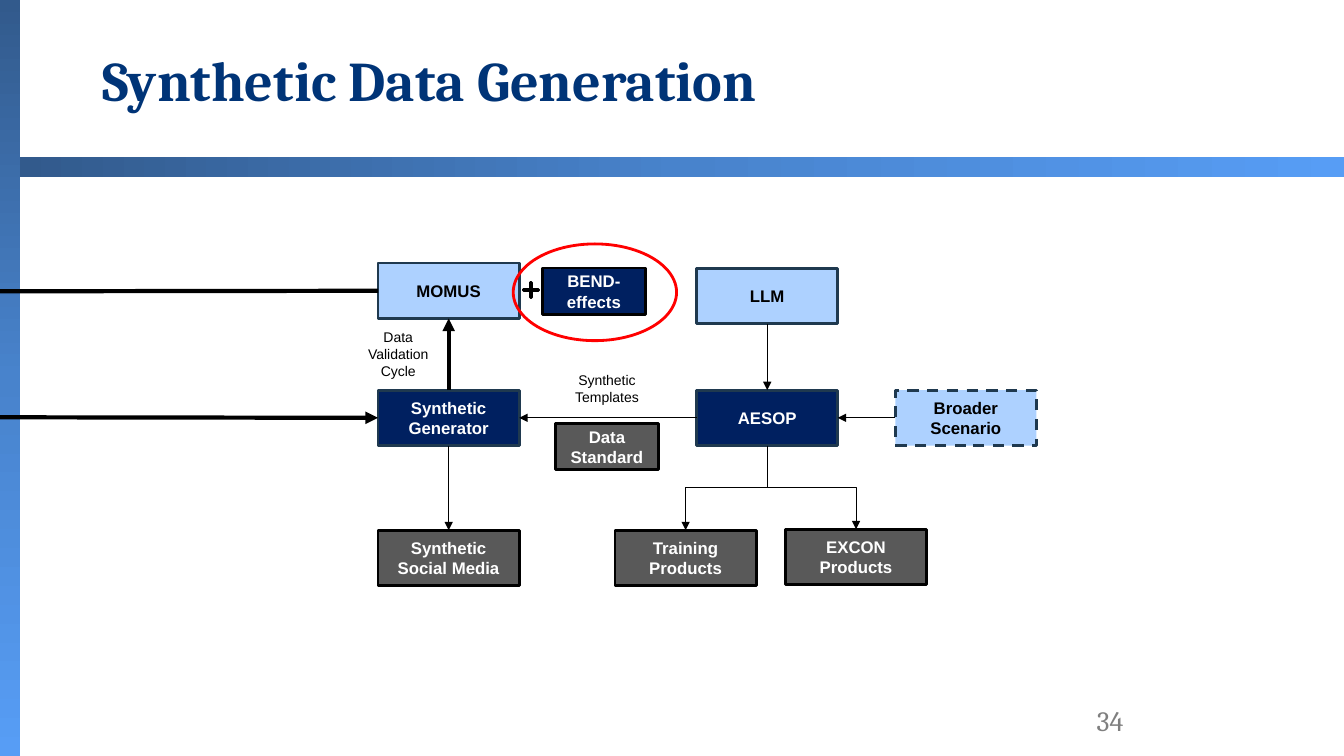
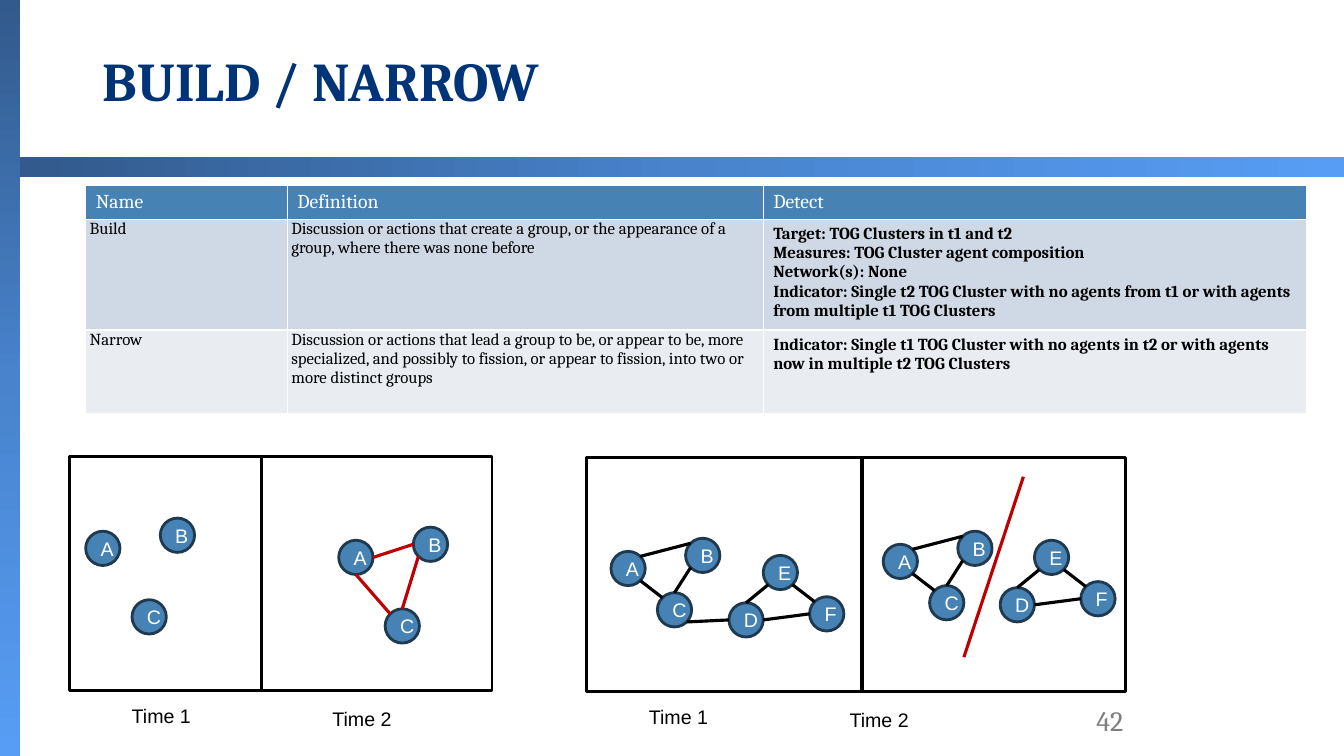
import copy
import math

import pptx
import pptx.dml.color
import pptx.enum.dml
import pptx.enum.shapes
import pptx.enum.text
import pptx.oxml.ns
import pptx.util
from lxml import etree

Inches = pptx.util.Inches
Pt = pptx.util.Pt
RGB = pptx.dml.color.RGBColor
SHAPE = pptx.enum.shapes.MSO_SHAPE
LINK = pptx.enum.shapes.MSO_CONNECTOR
ALIGN = pptx.enum.text.PP_ALIGN
ANCHOR = pptx.enum.text.MSO_ANCHOR
qn = pptx.oxml.ns.qn

WHITE = RGB(0xFF, 0xFF, 0xFF)
BLACK = RGB(0, 0, 0)
TITLE = RGB(0x00, 0x34, 0x77)
NAVY = RGB(0x00, 0x20, 0x60)
SKY = RGB(0xAD, 0xD1, 0xFF)
GRAY = RGB(0x59, 0x59, 0x59)
PALE = RGB(0x7F, 0x7F, 0x7F)
EDGE = RGB(0x1F, 0x39, 0x4F)
STEEL = RGB(0x46, 0x82, 0xB4)
RED = RGB(0xFF, 0, 0)
DARK_RED = RGB(0xC0, 0, 0)
BANDS = [RGB(0xCF, 0xD8, 0xE5), RGB(0xE9, 0xED, 0xF2)]
FADE = [RGB(0x32, 0x5A, 0x8C), RGB(0x48, 0x83, 0xCC), RGB(0x57, 0x9D, 0xF5)]

SERIF, SANS = "Cambria", "Arial"
TOP, LEFT, BOTTOM, RIGHT = range(4)
NODE = 0.34
# Eight points round a node, counter-clockwise from the top
N, NW, W, SW, S, SE, E, NE = range(8)


class Deck:
    def __init__(self):
        self.show = pptx.Presentation()
        self.show.slide_width = Inches(13.33)
        self.show.slide_height = Inches(7.5)

    def page(self, title, number, size=40):
        self.slide = self.show.slides.add_slide(self.show.slide_layouts[6])
        self.shapes = self.slide.shapes
        self.band(0, 0, 0.2, 7.5, 270)
        self.band(0.2, 1.56, 13.13, 0.2, 0)
        head = self.text(title, 0.92, 0.16, 11.5, 1.34, size, TITLE, SERIF,
                         ALIGN.LEFT, ANCHOR.MIDDLE, bold=True)
        head.text_frame.paragraphs[0].line_spacing = 0.9
        self.text(number, 9.43, 6.95, 1.81, 0.4, 20, PALE, SERIF,
                  ALIGN.RIGHT, ANCHOR.MIDDLE)

    def style(self, frame, size, color, font=SANS, align=ALIGN.CENTER, bold=False):
        for para in frame.paragraphs:
            para.alignment = align
            for run in para.runs:
                run.font.size = Pt(size)
                run.font.name = font
                run.font.bold = bold
                run.font.color.rgb = color

    def text(self, words, x, y, w, h, size, color=BLACK, font=SANS,
             align=ALIGN.CENTER, anchor=ANCHOR.TOP, bold=False, wrap=True):
        box = self.shapes.add_textbox(Inches(x), Inches(y), Inches(w), Inches(h))
        frame = box.text_frame
        frame.word_wrap = wrap
        frame.vertical_anchor = anchor
        frame.text = words
        self.style(frame, size, color, font, align, bold)
        return box

    def shape(self, kind, x, y, w, h, fill=None, edge=None):
        item = self.shapes.add_shape(kind, Inches(x), Inches(y), Inches(w), Inches(h))
        item.shadow.inherit = False
        if fill is None:
            item.fill.background()
        else:
            item.fill.solid()
            item.fill.fore_color.rgb = fill
        if edge is None:
            item.line.fill.background()
        else:
            item.line.color.rgb = edge
            item.line.width = Pt(2)
        return item

    def band(self, x, y, w, h, angle):
        """Draw a bar that fades through three blues."""
        bar = self.shape(SHAPE.RECTANGLE, x, y, w, h)
        bar.fill.gradient()
        bar.fill.gradient_angle = angle
        stops = bar._element.spPr.find(".//" + qn("a:gsLst"))
        stops.insert(1, copy.deepcopy(stops[0]))
        for stop, color, place in zip(bar.fill.gradient_stops, FADE, (0, 0.5, 1)):
            stop.color.rgb = color
            stop.position = place

    def box(self, words, x, y, fill, edge=EDGE, w=1.4, h=0.55):
        item = self.shape(SHAPE.RECTANGLE, x, y, w, h, fill, edge)
        item.text_frame.vertical_anchor = ANCHOR.MIDDLE
        item.text_frame.text = words
        self.style(item.text_frame, 12, BLACK if fill == SKY else WHITE, bold=True)
        return item

    def line(self, start, end, width, color=BLACK, arrow=False, kind=LINK.STRAIGHT):
        item = self.shapes.add_connector(
            kind, *(Inches(value) for value in (*start, *end)))
        item.line.color.rgb = color
        item.line.width = Pt(width)
        props = item._element.spPr
        if arrow:
            etree.SubElement(props.find(qn("a:ln")), qn("a:tailEnd"), type="triangle")
        etree.SubElement(props, qn("a:effectLst"))
        return item

    def join(self, one, side, two, end, width=0.75):
        """Run an arrow between the sides of two boxes."""
        item = self.line((0, 0), (1, 1), width, arrow=True)
        item.begin_connect(one, side)
        item.end_connect(two, end)

    def fork(self, one, two):
        """Run an elbow arrow from the foot of one box to the head of another."""
        x1, y1 = (one.left + one.width / 2) / 914400, (one.top + one.height) / 914400
        x2, y2 = (two.left + two.width / 2) / 914400, two.top / 914400
        midx, midy = (x1 + x2) / 2, (y1 + y2) / 2
        half, rise = (y2 - y1) / 2, abs(x2 - x1) / 2
        turn = 90
        if x2 > x1:
            half, turn = -half, 270
        item = self.line((midx - half, midy - rise), (midx + half, midy + rise),
                         0.75, arrow=True, kind=LINK.ELBOW)
        item._element.spPr.find(qn("a:xfrm")).set("rot", str(turn * 60000))

    def graph(self, nodes, links=(), shift=(0, 0), color=BLACK):
        """Draw lettered nodes, and links given as node, point, node, point."""
        spots = {name: (x + shift[0], y + shift[1]) for name, (x, y) in nodes.items()}
        for name, (x, y) in spots.items():
            dot = self.shape(SHAPE.OVAL, x, y, NODE, NODE, STEEL, EDGE)
            dot.text_frame.vertical_anchor = ANCHOR.MIDDLE
            dot.text_frame.text = name
            self.style(dot.text_frame, 14, WHITE)

        def rim(name, point):
            x, y = spots[name]
            turn, half = math.radians(90 + 45 * point), NODE / 2
            return x + half + half * math.cos(turn), y + half - half * math.sin(turn)

        for one, start, two, end in links:
            self.line(rim(one, start), rim(two, end), 2.25, color)

    def frame(self, x, y, w, split):
        """Draw a panel in two parts, with a time below each."""
        self.shape(SHAPE.RECTANGLE, x, y, w, 2.32, edge=BLACK)
        self.line((split, y), (split, y + 2.32), 2.25)
        for step, (dx, dy) in enumerate([(0.51, 2.4), (2.5, 2.43)], 1):
            self.text(f"Time {step}", x + dx, y + dy, 0.8, 0.34, 14, wrap=False)

    def table(self, rows, x, y, widths, heights):
        grid = self.shapes.add_table(
            len(rows), len(widths), Inches(x), Inches(y),
            Inches(sum(widths)), Inches(sum(heights))).table
        for col, width in zip(grid.columns, widths):
            col.width = Inches(width)
        for r, (row, height) in enumerate(zip(rows, heights)):
            grid.rows[r].height = Inches(height)
            for c, words in enumerate(row):
                cell = grid.cell(r, c)
                cell.fill.solid()
                cell.fill.fore_color.rgb = BANDS[r - 1] if r else STEEL
                cell.text_frame.text = words
                if r and c < 2:
                    cell.margin_left = cell.margin_right = Inches(0.04)
                    cell.margin_top = cell.margin_bottom = 0
                self.style(cell.text_frame, 12 if r else 14, BLACK if r else WHITE,
                           SERIF, ALIGN.LEFT, bold=r > 0 and c == 2)


def flow(deck):
    deck.page("Synthetic Data Generation", "34")
    aesop = deck.box("AESOP", 6.91, 3.87, NAVY)
    momus = deck.box("MOMUS", 3.75, 2.61, SKY)
    media = deck.box("Synthetic Social Media", 3.75, 5.26, GRAY, BLACK)
    maker = deck.box("Synthetic Generator", 3.75, 3.87, NAVY)
    broad = deck.box("Broader Scenario", 8.88, 3.87, SKY)
    broad.line.dash_style = pptx.enum.dml.MSO_LINE.DASH
    excon = deck.box("EXCON Products", 7.79, 5.25, GRAY, BLACK)
    train = deck.box("Training Products", 6.1, 5.26, GRAY, BLACK)
    llm = deck.box("LLM", 6.91, 2.66, SKY)

    deck.join(maker, BOTTOM, media, TOP)
    deck.join(maker, TOP, momus, BOTTOM, 3)
    deck.join(aesop, LEFT, maker, RIGHT)
    deck.join(llm, BOTTOM, aesop, TOP)
    deck.join(broad, LEFT, aesop, RIGHT)
    deck.fork(aesop, excon)
    deck.fork(aesop, train)
    deck.line((0, 2.89), (3.75, 2.89), 3).end_connect(momus, LEFT)
    deck.line((0, 4.14), (3.75, 4.14), 3, arrow=True).end_connect(maker, LEFT)

    deck.text("Synthetic Templates", 5.4, 3.64, 1.24, 0.44, 10)
    deck.text("Data Validation\nCycle", 3.45, 3.21, 1, 0.61, 10)
    deck.box("Data\nStandard", 5.51, 4.2, GRAY, BLACK, 1.02, 0.46)
    deck.box("BEND-effects", 5.38, 2.66, NAVY, BLACK, 1.02, 0.46)
    plus = deck.shape(SHAPE.CROSS, 5.19, 2.8, 0.15, 0.15, BLACK, BLACK)
    plus.adjustments[0] = 0.46
    deck.shape(SHAPE.OVAL, 5.09, 2.42, 1.62, 0.96, edge=RED)


def groups(deck):
    deck.page("BUILD / NARROW", "42", 39)
    deck.table([
        ["Name", "Definition", "Detect"],
        ["Build",
         "Discussion or actions that create a group, or the appearance of a group, "
         "where there was none before",
         "Target: TOG Clusters in t1 and t2\n"
         "Measures: TOG Cluster agent composition\n"
         "Network(s): None\n"
         "Indicator: Single t2 TOG Cluster with no agents from t1 or with agents "
         "from multiple t1 TOG Clusters"],
        ["Narrow",
         "Discussion or actions that lead a group to be, or appear to be, more "
         "specialized, and possibly to fission, or appear to fission, into two or "
         "more distinct groups",
         "Indicator: Single t1 TOG Cluster with no agents in t2 or with agents now "
         "in multiple t2 TOG Clusters"],
    ], 0.85, 1.84, [2, 4.72, 5.39], [0.32, 1.06, 0.83])

    loose = {"A": (0.85, 5.27), "B": (1.59, 5.14), "C": (1.31, 5.95)}
    deck.graph(loose)
    deck.graph(loose, [("C", N, "B", SW), ("B", W, "A", E), ("C", NW, "A", S)],
               (2.51, 0.09), DARK_RED)

    first = {"A": (6.06, 5.47), "B": (6.8, 5.34), "C": (6.52, 5.88)}
    second = {"D": (7.23, 5.98), "E": (7.57, 5.51), "F": (8.03, 5.92)}
    near = [("C", N, "B", SW), ("C", NW, "A", SE), ("B", NW, "A", NE)]
    far = [("D", N, "E", SW), ("D", E, "F", W), ("F", NW, "E", SE)]
    deck.graph({**first, **second}, [*near, *far, ("C", SE, "D", W)])
    deck.graph(first, near, (2.7, -0.07))
    deck.graph(second, far, (2.69, -0.15))

    deck.frame(0.69, 4.53, 4.19, 2.59)
    deck.frame(5.82, 4.54, 5.34, 8.55)
    deck.line((9.56, 6.52), (10.15, 4.73), 2.25, DARK_RED)


def main():
    deck = Deck()
    flow(deck)
    groups(deck)
    deck.show.save("out.pptx")


if __name__ == "__main__":
    main()
